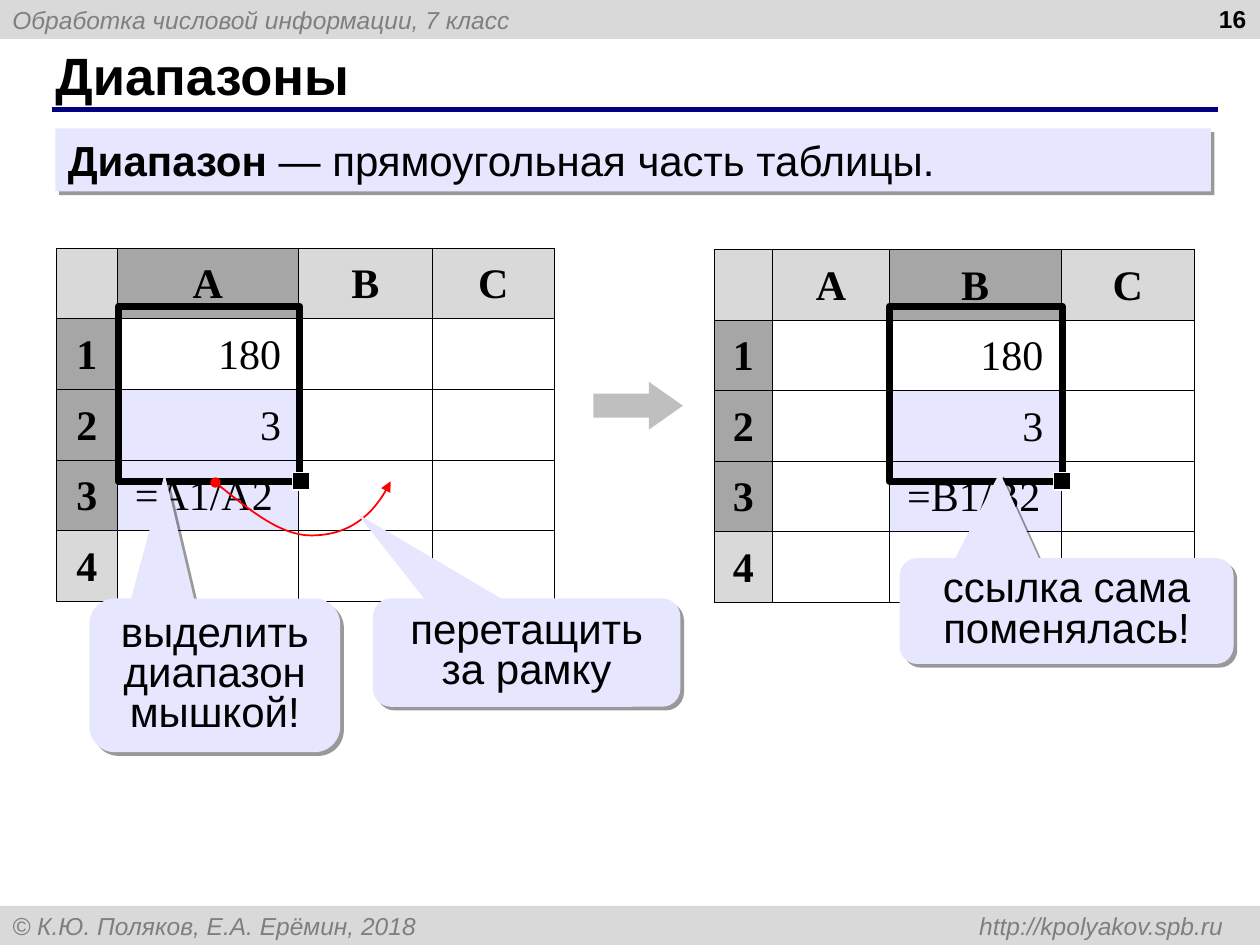
from lxml import etree
from pptx import Presentation
from pptx.dml.color import RGBColor
from pptx.enum.shapes import MSO_CONNECTOR, MSO_SHAPE
from pptx.enum.text import MSO_ANCHOR, PP_ALIGN
from pptx.oxml import parse_xml
from pptx.oxml.ns import nsdecls, qn
from pptx.util import Inches, Pt

BLACK = RGBColor(0x00, 0x00, 0x00)
WHITE = RGBColor(0xFF, 0xFF, 0xFF)
NAVY = RGBColor(0x00, 0x00, 0x80)
RED = RGBColor(0xFF, 0x00, 0x00)
LAVENDER = RGBColor(0xE6, 0xE6, 0xFF)
LIGHT_GRAY = RGBColor(0xD9, 0xD9, 0xD9)
ARROW_GRAY = RGBColor(0xBF, 0xBF, 0xBF)
HEADER_GRAY = RGBColor(0xA6, 0xA6, 0xA6)
TEXT_GRAY = RGBColor(0x7F, 0x7F, 0x7F)


def write_text(paragraph, text, size=24, font="Arial", color=BLACK, bold=False,
               italic=False, align=PP_ALIGN.LEFT, spacing=None):
    paragraph.alignment = align
    if spacing:
        paragraph.line_spacing = spacing
    run = paragraph.add_run()
    run.text = text
    run.font.size = Pt(size)
    run.font.name = font
    run.font.color.rgb = color
    run.font.bold = bold
    run.font.italic = italic


def add_box(kind, left, top, width, height, fill=None, line=None, line_width=1, shadow=False):
    shape = slide.shapes.add_shape(kind, Inches(left), Inches(top), Inches(width), Inches(height))
    if fill is None:
        shape.fill.background()
    else:
        shape.fill.solid()
        shape.fill.fore_color.rgb = fill
    if line is None:
        shape.line.fill.background()
    else:
        shape.line.color.rgb = line
        shape.line.width = Pt(line_width)
    shape.shadow.inherit = False
    if shadow:
        shape._element.spPr.find(qn("a:effectLst")).append(parse_xml(
            f'<a:outerShdw {nsdecls("a")} blurRad="0" dist="{Pt(3)}" dir="2700000" algn="tl" '
            'rotWithShape="0"><a:srgbClr val="000000"><a:alpha val="40000"/></a:srgbClr>'
            '</a:outerShdw>'))
    shape.text_frame.word_wrap = True
    return shape


presentation = Presentation()
presentation.slide_width = Inches(10)
presentation.slide_height = Inches(7.5)
slide = presentation.slides.add_slide(presentation.slide_layouts[5])

bars = [(0, "Обработка числовой информации, 7 класс"),
        (7.19, "© К.Ю. Поляков, Е.А. Ерёмин, 2018 \thttp://kpolyakov.spb.ru")]
for top, text in bars:
    bar = add_box(MSO_SHAPE.RECTANGLE, 0, top, 10, 0.31, LIGHT_GRAY)
    bar.text_frame.vertical_anchor = MSO_ANCHOR.MIDDLE
    paragraph = bar.text_frame.paragraphs[0]
    if "\t" in text:
        tabs = etree.SubElement(paragraph._p.get_or_add_pPr(), qn("a:tabLst"))
        etree.SubElement(tabs, qn("a:tab"), pos=str(Inches(9.61)), algn="r")
    write_text(paragraph, text, size=14, color=TEXT_GRAY, italic=True)

title_rule = slide.shapes.add_connector(
    MSO_CONNECTOR.STRAIGHT, Inches(0.41), Inches(0.87), Inches(9.67), Inches(0.87))
title_rule.line.color.rgb = NAVY
title_rule.line.width = Pt(3)
etree.SubElement(title_rule._element.spPr, qn("a:effectLst"))

title = slide.shapes.title
title.left, title.top, title.width, title.height = [Inches(n) for n in (0.34, 0.33, 9.16, 0.52)]
title.text_frame.vertical_anchor = MSO_ANCHOR.MIDDLE
write_text(title.text_frame.paragraphs[0], "Диапазоны", size=30, bold=True)

page_number = slide.shapes.add_textbox(Inches(7.66), Inches(-0.02), Inches(2.33), Inches(0.52))
page_number.text_frame.word_wrap = True
write_text(page_number.text_frame.paragraphs[0], "16", size=14, bold=True, align=PP_ALIGN.RIGHT)

definition = add_box(MSO_SHAPE.RECTANGLE, 0.44, 1.02, 9.17, 0.5, LAVENDER, shadow=True)
definition.text_frame.vertical_anchor = MSO_ANCHOR.TOP
paragraph = definition.text_frame.paragraphs[0]
properties = paragraph._p.get_or_add_pPr()
properties.set("marL", str(Inches(0.4)))
properties.set("indent", str(Inches(-0.4)))
write_text(paragraph, "Диапазон ", bold=True)
write_text(paragraph, "— прямоугольная часть таблицы.")

sheets = [(0.45, 1.97, [0.48, 1.44, 1.06, 0.97], 1, "=A1/A2"),
          (5.67, 1.98, [0.46, 0.93, 1.36, 1.06], 2, "=B1/B2")]
for left, top, widths, active, formula in sheets:
    frame = slide.shapes.add_table(
        5, 4, Inches(left), Inches(top), Inches(sum(widths)), Inches(2.3))
    table = frame.table
    table.first_row = table.horz_banding = False
    for column, width in zip(table.columns, widths):
        column.width = Inches(width)
    values = ["B", "180", "3", formula, ""]
    for row in range(5):
        table.rows[row].height = Inches(0.46)
        for column in range(4):
            cell = table.cell(row, column)
            cell.margin_left = cell.margin_right = Inches(0.14)
            is_header = row == 0 or column == 0
            if row == 0:
                text = ["", "A", "B", "C"][column]
            elif column == 0:
                text = str(row)
            else:
                text = values[row] if column == active else ""

            selected = column == active if row == 0 else column == 0 and row < 4
            if is_header:
                fill = HEADER_GRAY if selected else LIGHT_GRAY
            else:
                fill = LAVENDER if column == active and row in (2, 3) else None
            if fill is None:
                cell.fill.background()
            else:
                cell.fill.solid()
                cell.fill.fore_color.rgb = fill

            if text:
                align = PP_ALIGN.CENTER if is_header else PP_ALIGN.RIGHT
                if text == formula:
                    align = PP_ALIGN.LEFT
                write_text(cell.text_frame.paragraphs[0], text, font="Times New Roman",
                           bold=is_header, align=align, spacing=1.15)
            for index, side in enumerate(("lnL", "lnR", "lnT", "lnB")):
                cell._tc.get_or_add_tcPr().insert(index, parse_xml(
                    f'<a:{side} {nsdecls("a")} w="{Pt(0.45)}"><a:solidFill>'
                    f'<a:srgbClr val="{BLACK}"/></a:solidFill></a:{side}>'))

arrow = add_box(MSO_SHAPE.RIGHT_ARROW, 4.71, 3.03, 0.71, 0.38, ARROW_GRAY)
arrow.adjustments[0] = 0.5
arrow.adjustments[1] = 0.71

for left, width, handle_left in [(0.94, 1.44, 2.32), (7.06, 1.37, 8.36)]:
    add_box(MSO_SHAPE.RECTANGLE, left, 2.43, width, 1.39, line=BLACK, line_width=4)
    add_box(MSO_SHAPE.RECTANGLE, handle_left, 3.75, 0.14, 0.14, BLACK, WHITE, 0.75)

curve_points = [(1.97, 4.04), (2.23, 4.25), (2.47, 4.25), (2.7, 4.25), (2.95, 4.14), (3.1, 3.82)]
builder = slide.shapes.build_freeform(Inches(1.71), Inches(3.83))
builder.add_line_segments([(Inches(x), Inches(y)) for x, y in curve_points], close=False)
drag_curve = builder.convert_to_shape()
drag_curve.fill.background()
drag_curve.line.color.rgb = RED
drag_curve.line.width = Pt(1)
drag_curve.shadow.inherit = False
outline = drag_curve._element.spPr.find(".//" + qn("a:path"))
segments = outline.findall(qn("a:lnTo"))
for start in (0, 3):
    bezier = etree.SubElement(outline, qn("a:cubicBezTo"))
    for segment in segments[start:start + 3]:
        bezier.append(segment[0])
        outline.remove(segment)
line_properties = drag_curve.line._get_or_add_ln()
etree.SubElement(line_properties, qn("a:headEnd"), type="oval")
etree.SubElement(line_properties, qn("a:tailEnd"), type="triangle")

callouts = [(7.14, 4.43, 2.65, 0.84, -0.2, -1.31, "ссылка сама поменялась!"),
            (0.71, 4.75, 1.99, 1.22, -0.2, -1.31, "выделить диапазон мышкой!"),
            (2.96, 4.75, 2.44, 0.86, -0.55, -1.28, "перетащить за рамку")]
for left, top, width, height, tip_x, tip_y, text in callouts:
    callout = add_box(MSO_SHAPE.ROUNDED_RECTANGULAR_CALLOUT, left, top, width, height,
                      LAVENDER, shadow=True)
    callout.adjustments[0] = tip_x
    callout.adjustments[1] = tip_y
    callout.text_frame.vertical_anchor = MSO_ANCHOR.MIDDLE
    write_text(callout.text_frame.paragraphs[0], text, align=PP_ALIGN.CENTER, spacing=0.8)

presentation.save("out.pptx")
